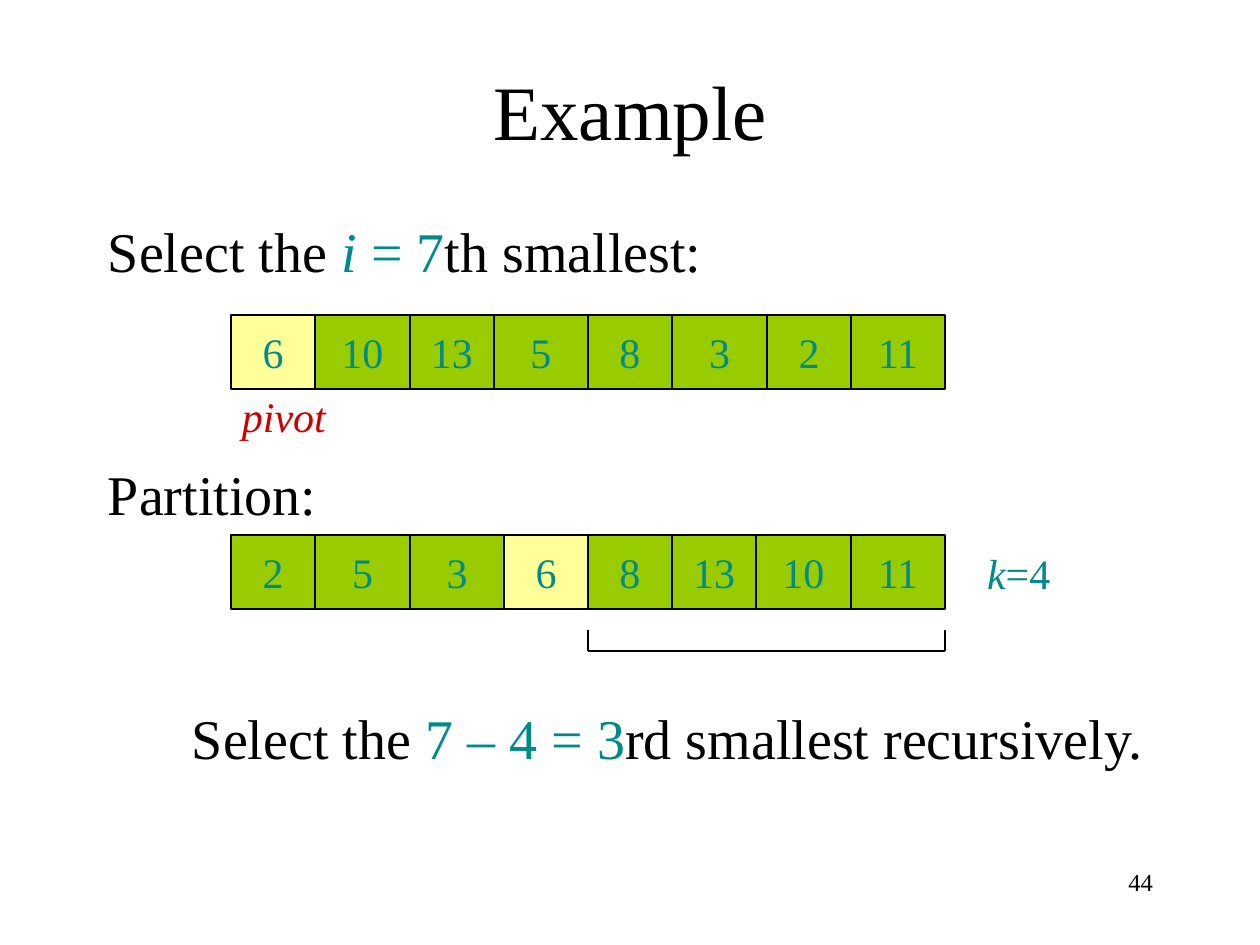
import pptx
import pptx.dml.color
import pptx.enum.shapes
import pptx.enum.text
import pptx.oxml.ns
import pptx.util
from lxml import etree

RGB = pptx.dml.color.RGBColor
BLACK = RGB(0x00, 0x00, 0x00)
TEAL = RGB(0x00, 0x8B, 0x88)
RED = RGB(0xCD, 0x00, 0x00)
GREEN = RGB(0x99, 0xCC, 0x00)
YELLOW = RGB(0xFF, 0xFF, 0x99)
FONT = "Times New Roman"
PX_PER_INCH = 126
ALIGN = pptx.enum.text.PP_ALIGN
ANCHOR = pptx.enum.text.MSO_ANCHOR


def px(n):
    return pptx.util.Emu(round(n * 914400 / PX_PER_INCH))


def write(sp, runs, size=24, color=BLACK, align=ALIGN.LEFT,
          anchor=ANCHOR.TOP, wrap=True, inset=(13, 6)):
    """Fill sp with runs, each a (text, colour or None, italic) tuple or a string."""
    tf = sp.text_frame
    tf.word_wrap = wrap
    tf.vertical_anchor = anchor
    tf.margin_left = tf.margin_right = px(inset[0])
    tf.margin_top = tf.margin_bottom = px(inset[1])
    p = tf.paragraphs[0]
    p.alignment = align
    for run in [runs] if isinstance(runs, str) else runs:
        text, run_color, italic = (run, None, False) if isinstance(run, str) else run
        r = p.add_run()
        r.text = text
        r.font.name = FONT
        r.font.size = pptx.util.Pt(size)
        r.font.italic = italic
        r.font.color.rgb = run_color or color


def add_text(s, box, runs, **fmt):
    write(s.shapes.add_textbox(*map(px, box)), runs, **fmt)


def add_title(s, box, text):
    sp = s.shapes.title
    sp.left, sp.top, sp.width, sp.height = map(px, box)
    write(sp, text, size=44, align=ALIGN.CENTER, anchor=ANCHOR.MIDDLE)


def add_array(s, left, top, height, values, widths, pivot):
    """Row of touching cells, with the pivot value highlighted."""
    for value, width in zip(values, widths):
        sp = s.shapes.add_shape(pptx.enum.shapes.MSO_SHAPE.RECTANGLE,
                                *map(px, (left, top, width, height)))
        sp.shadow.inherit = False
        sp.fill.solid()
        sp.fill.fore_color.rgb = YELLOW if value == pivot else GREEN
        sp.line.color.rgb = BLACK
        sp.line.width = pptx.util.Pt(0.75)
        write(sp, str(value), color=TEAL, align=ALIGN.CENTER,
              anchor=ANCHOR.MIDDLE, wrap=False)
        left += width


def add_bracket(s, left, top, width, height):
    """Bracket open at the top."""
    right, bottom = left + width, top + height
    corners = [(left, top), (left, bottom), (right, bottom), (right, top)]
    for start, end in zip(corners, corners[1:]):
        line = s.shapes.add_connector(pptx.enum.shapes.MSO_CONNECTOR.STRAIGHT,
                                      *map(px, start + end))
        line.line.color.rgb = BLACK
        line.line.width = pptx.util.Pt(0.75)
        etree.SubElement(line._element.spPr, pptx.oxml.ns.qn("a:effectLst"))


def add_statement(s, left, top, width, runs):
    add_text(s, (left, top, width, 65), runs, size=32, inset=(0, 0))


def build_example(s):
    add_title(s, (95, 31, 1071, 158), "Example")

    # Input array and its pivot
    add_statement(s, 108, 217, 945, [
        "Select the ", ("i ", TEAL, True), ("= 7", TEAL, False), "th smallest:"])
    add_array(s, 231, 315, 74, (6, 10, 13, 5, 8, 3, 2, 11),
              (84, 95, 84, 94, 84, 95, 84, 94), pivot=6)
    add_text(s, (229, 385, 124, 63), [("pivot", RED, True)])

    # Partitioned array, with the upper part bracketed
    add_statement(s, 108, 460, 945, "Partition:")
    add_array(s, 231, 535, 74, (2, 5, 3, 6, 8, 13, 10, 11),
              (84, 95, 94, 84, 84, 84, 95, 94), pivot=6)
    add_bracket(s, 588, 630, 357, 21)
    add_text(s, (974, 542, 104, 63), [("k", TEAL, True), ("=4", TEAL, False)])

    # Recursive step
    add_statement(s, 192, 704, 980, [
        "Select the ", ("7 – 4 = 3", TEAL, False), "rd smallest recursively."])

    # Slide number
    add_text(s, (904, 861, 262, 63), "44", size=14, align=ALIGN.RIGHT)


def main():
    prs = pptx.Presentation()
    prs.slide_width = px(1260)
    prs.slide_height = px(945)
    build_example(prs.slides.add_slide(prs.slide_layouts[5]))
    prs.save("out.pptx")


if __name__ == "__main__":
    main()
